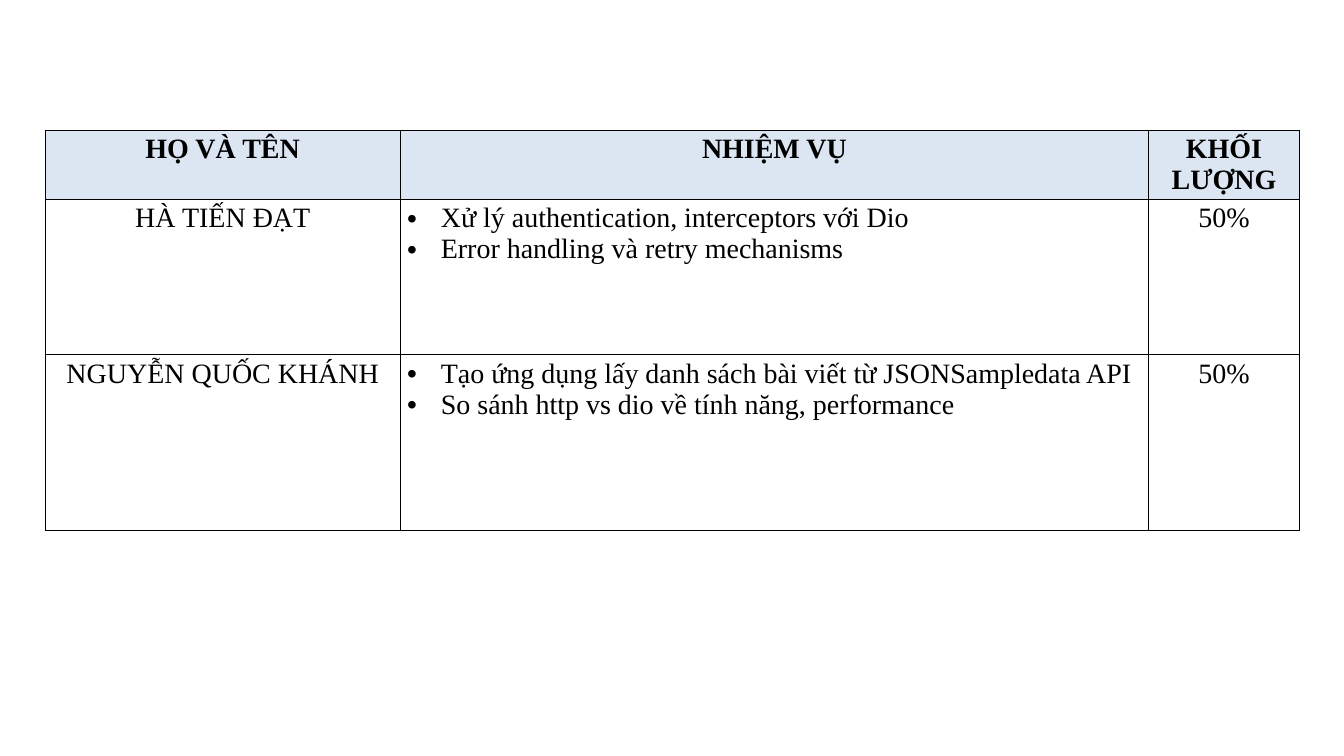
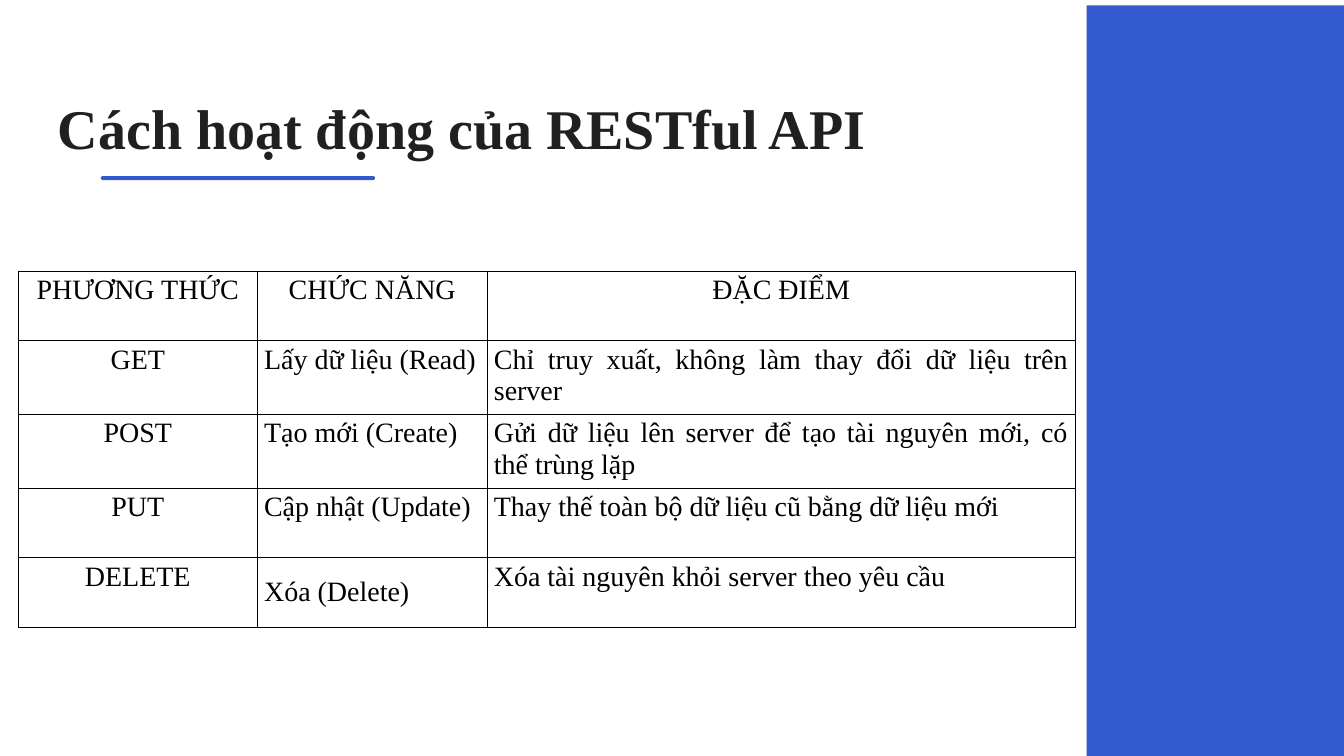
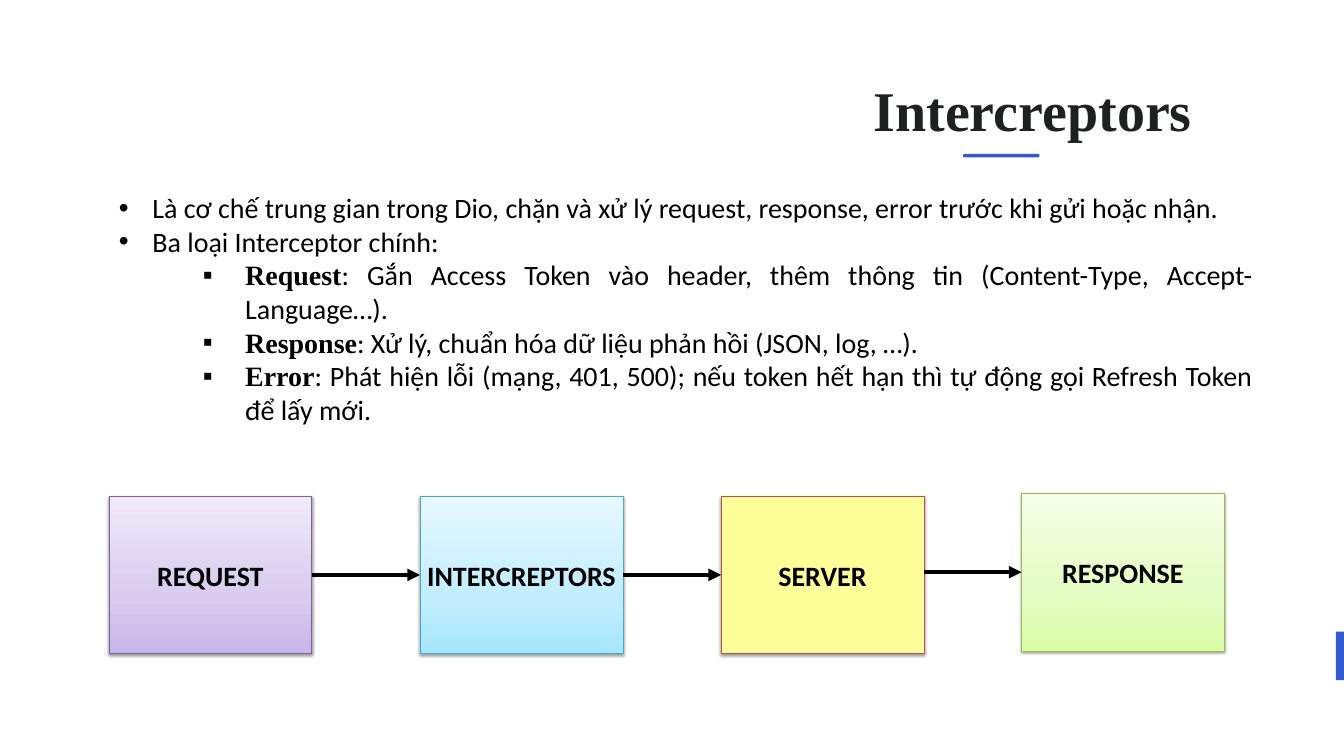
from copy import deepcopy
from itertools import pairwise

from pptx import Presentation
from pptx.dml.color import RGBColor
from pptx.enum.shapes import MSO_CONNECTOR, MSO_SHAPE as SHAPE
from pptx.enum.text import MSO_ANCHOR as ANCHOR, MSO_AUTO_SIZE as AUTO_SIZE, PP_ALIGN as ALIGN
from pptx.oxml import parse_xml
from pptx.oxml.ns import nsdecls, qn
from pptx.util import Inches, Pt

# The grid has square cells: 20 columns by 11.25 rows
COLUMNS, ROWS = 20, 11.25
TITLE_ONLY, BLANK = 5, 6


def rgb(hex_color):
    return RGBColor.from_string(hex_color)


def drawing(xml):
    """Parse one DrawingML element written without its namespace."""
    tag_end = min(i for i in (xml.find(" "), xml.find(">"), xml.find("/")) if i > 0)
    return parse_xml(f"{xml[:tag_end]} {nsdecls('a')}{xml[tag_end:]}")


class Deck:
    SERIF, SANS = "Times New Roman", "Calibri"
    BLUE, INK, BLACK, HEADER = "335ACF", "1F2020", "000000", "DCE6F2"
    TITLE_SIZE, TITLE_LEADING, BODY_SIZE = 60, 53.4, 30

    def __init__(self):
        self.prs = Presentation()
        self.prs.slide_width, self.prs.slide_height = Inches(20), Inches(11.25)
        self.slide = None

    def col(self, n):
        return round(self.prs.slide_width * n / COLUMNS)

    def row(self, n):
        return round(self.prs.slide_height * n / ROWS)

    def area(self, left, top, width, height):
        return self.col(left), self.row(top), self.col(width), self.row(height)

    def new_slide(self, layout):
        self.slide = self.prs.slides.add_slide(self.prs.slide_layouts[layout])

    def style(self, run, font=SERIF, size=BODY_SIZE, color=BLACK, bold=False):
        run.font.name, run.font.size, run.font.bold = font, Pt(size), bold
        run.font.color.rgb = rgb(color)

    def bullet(self, paragraph, mark, indent, hanging):
        props = paragraph._p.get_or_add_pPr()
        props.set("marL", str(self.col(indent)))
        props.set("indent", str(-self.col(hanging)))
        props.append(drawing('<a:buFont typeface="Arial"/>'))
        props.append(drawing(f'<a:buChar char="{mark}"/>'))

    def title(self, text, *area):
        heading = self.slide.shapes.title
        heading.left, heading.top, heading.width, heading.height = self.area(*area)
        frame = heading.text_frame
        frame.text = text
        frame.margin_left = frame.margin_right = frame.margin_top = frame.margin_bottom = 0
        frame.vertical_anchor = ANCHOR.TOP
        frame.word_wrap, frame.auto_size = True, AUTO_SIZE.SHAPE_TO_FIT_TEXT
        line = frame.paragraphs[0]
        line.alignment, line.line_spacing = ALIGN.LEFT, Pt(self.TITLE_LEADING)
        self.style(line.runs[0], size=self.TITLE_SIZE, color=self.INK, bold=True)

    def block(self, *area, kind=SHAPE.RECTANGLE, color=BLUE):
        block = self.slide.shapes.add_shape(kind, *self.area(*area))
        block.shadow.inherit = False
        block.fill.solid()
        block.fill.fore_color.rgb = rgb(color)
        block.line.fill.background()
        return block

    def underline(self, *area):
        self.block(*area, kind=SHAPE.ROUNDED_RECTANGLE).adjustments[0] = 0.5

    def cell(self, cell, text, align, bold=False, fill=None, bulleted=False):
        cell.text = text
        for line in cell.text_frame.paragraphs:
            line.alignment = align
            self.style(line.runs[0], bold=bold)
            if bulleted:
                self.bullet(line, "•", 0.5, 0.5)
        if fill:
            cell.fill.solid()
            cell.fill.fore_color.rgb = rgb(fill)
        else:
            cell.fill.background()
        for i, side in enumerate("LRTB"):
            cell._tc.get_or_add_tcPr().insert(i, drawing(
                f'<a:ln{side} w="{Pt(1)}"><a:solidFill><a:srgbClr val="{self.BLACK}"/>'
                f'</a:solidFill></a:ln{side}>'))

    def table(self, left, top, widths, heights, rows, aligns,
              header_fill=None, header_bold=False, bulleted_column=None):
        table = self.slide.shapes.add_table(
            len(rows), len(widths),
            *self.area(left, top, sum(widths), sum(heights))).table
        table.first_row = table.horz_banding = False
        for column, width in zip(table.columns, widths):
            column.width = self.col(width)
        for r, (texts, height) in enumerate(zip(rows, heights)):
            table.rows[r].height = self.row(height)
            for c, text in enumerate(texts):
                if r == 0:
                    self.cell(table.cell(r, c), text, ALIGN.CENTER, header_bold, header_fill)
                else:
                    self.cell(table.cell(r, c), text, aligns[c], bulleted=c == bulleted_column)
        return table

    def outline(self, points, *area):
        """Bulleted text; a point with a label is a second-level one."""
        frame = self.slide.shapes.add_textbox(*self.area(*area)).text_frame
        frame.word_wrap, frame.auto_size = True, AUTO_SIZE.SHAPE_TO_FIT_TEXT
        for i, (label, text) in enumerate(points):
            line = frame.paragraphs[0] if i == 0 else frame.add_paragraph()
            line.alignment = ALIGN.JUSTIFY
            if label:
                self.bullet(line, "▪", 1.88, 0.63)
                term = line.add_run()
                term.text = label
                self.style(term, bold=True)
            else:
                self.bullet(line, "•", 0.5, 0.5)
            detail = line.add_run()
            detail.text = text
            self.style(detail, font=self.SANS)

    def stage(self, text, colors, border, *area):
        """A process box; several colours run from the bottom up."""
        stage = self.block(*area, color=colors[0])
        if len(colors) > 1:
            stage.fill.gradient()
            stage.fill.gradient_angle = 90
            stops = stage._element.spPr.find(".//" + qn("a:gsLst"))
            stops.append(deepcopy(stops[0]))
            for stop, share, color in zip(stage.fill.gradient_stops, (0, 0.35, 1), colors):
                stop.position, stop.color.rgb = share, rgb(color)
        stage.line.color.rgb, stage.line.width = rgb(border), Pt(0.75)
        stage._element.spPr.find(qn("a:effectLst")).append(drawing(
            '<a:outerShdw blurRad="40000" dist="20000" dir="5400000" rotWithShape="0">'
            f'<a:srgbClr val="{self.BLACK}"><a:alpha val="38000"/></a:srgbClr></a:outerShdw>'))
        stage.text_frame.text = text
        label = stage.text_frame.paragraphs[0]
        label.alignment = ALIGN.CENTER
        self.style(label.runs[0], font=self.SANS, bold=True)
        return stage

    def arrow(self, source, target):
        y = target.top + target.height // 2
        arrow = self.slide.shapes.add_connector(
            MSO_CONNECTOR.STRAIGHT, source.left + source.width, y, target.left, y)
        arrow.line.color.rgb, arrow.line.width = rgb(self.BLACK), Pt(4.5)
        arrow.line._get_or_add_ln().append(drawing('<a:tailEnd type="triangle"/>'))
        arrow._element.spPr.append(drawing("<a:effectLst/>"))


def team_slide(deck):
    deck.new_slide(BLANK)
    deck.table(
        0.67, 1.94, (5.29, 11.13, 2.25), (1.03, 2.31, 2.62),
        [("HỌ VÀ TÊN", "NHIỆM VỤ", "KHỐI LƯỢNG"),
         ("HÀ TIẾN ĐẠT",
          "Xử lý authentication, interceptors với Dio\nError handling và retry mechanisms",
          "50%"),
         ("NGUYỄN QUỐC KHÁNH",
          "Tạo ứng dụng lấy danh sách bài viết từ JSONSampledata API\n"
          "So sánh http vs dio về tính năng, performance",
          "50%")],
        (ALIGN.CENTER, ALIGN.JUSTIFY, ALIGN.CENTER),
        header_fill=deck.HEADER, header_bold=True, bulleted_column=1)


def methods_slide(deck):
    deck.new_slide(TITLE_ONLY)
    deck.block(16.17, 0.08, COLUMNS - 16.17, ROWS - 0.08)
    deck.title("Cách hoạt động của RESTful API", 0.86, 1.65, 12.67, 0.75)
    deck.underline(1.5, 2.62, 4.08, 0.06)
    methods = deck.table(
        0.27, 4.04, (3.56, 3.42, 8.75), [1.03] * 5,
        [("PHƯƠNG THỨC", "CHỨC NĂNG", "ĐẶC ĐIỂM"),
         ("GET", "Lấy dữ liệu (Read)",
          "Chỉ truy xuất, không làm thay đổi dữ liệu trên server"),
         ("POST", "Tạo mới (Create)",
          "Gửi dữ liệu lên server để tạo tài nguyên mới, có thể trùng lặp"),
         ("PUT", "Cập nhật (Update)", "Thay thế toàn bộ dữ liệu cũ bằng dữ liệu mới"),
         ("DELETE", "Xóa (Delete)", "Xóa tài nguyên khỏi server theo yêu cầu")],
        (ALIGN.CENTER, ALIGN.LEFT, ALIGN.JUSTIFY))
    methods.cell(4, 1).vertical_anchor = ANCHOR.MIDDLE


def interceptors_slide(deck):
    deck.new_slide(TITLE_ONLY)
    deck.block(19.88, 9.4, 0.12, 0.72)
    deck.title("Intercreptors", 13, 1.38, 5.45, 0.75)
    deck.underline(14.33, 2.29, 1.14, 0.05)
    deck.outline(
        [("", "Là cơ chế trung gian trong Dio, chặn và xử lý request, response, error "
              "trước khi gửi hoặc nhận."),
         ("", "Ba loại Interceptor chính:"),
         ("Request", ": Gắn Access Token vào header, thêm thông tin "
                     "(Content-Type, Accept-Language…)."),
         ("Response", ": Xử lý, chuẩn hóa dữ liệu phản hồi (JSON, log, …)."),
         ("Error", ": Phát hiện lỗi (mạng, 401, 500); nếu token hết hạn thì tự động gọi "
                   "Refresh Token để lấy mới.")],
        1.67, 2.79, 17.08, 3.64)

    # Request flow
    flow = [
        ("REQUEST", ("C9B5E8", "D8CBEE", "F0EAF9"), "7D60A0", 1.62, 7.38),
        ("INTERCREPTORS", ("A7E6FF", "C1EDFF", "E7F8FF"), "46AAC5", 6.25, 7.38),
        ("SERVER", ("FFFF99",), "BF4C48", 10.73, 7.38),
        ("RESPONSE", ("DAFDA7", "E4FCC2", "F5FFE7"), "98B955", 15.2, 7.34),
    ]
    stages = [deck.stage(*step, 3.02, 2.35) for step in flow]
    for source, target in pairwise(stages):
        deck.arrow(source, target)


def main():
    deck = Deck()
    team_slide(deck)
    methods_slide(deck)
    interceptors_slide(deck)
    deck.prs.save("out.pptx")


if __name__ == "__main__":
    main()
